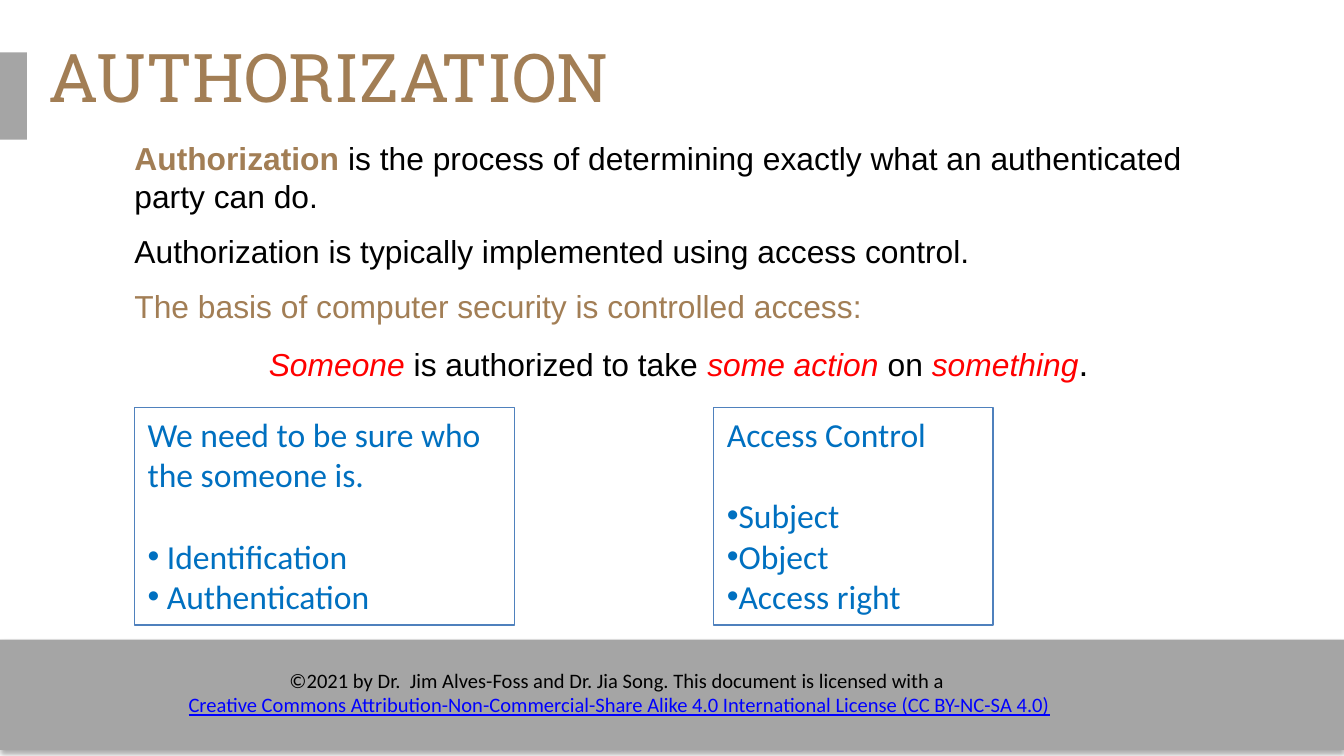
from lxml.etree import SubElement
from pptx import Presentation
from pptx.dml.color import RGBColor
from pptx.enum.shapes import MSO_SHAPE as Shape
from pptx.enum.text import MSO_ANCHOR as Anchor, MSO_AUTO_SIZE as AutoSize, PP_ALIGN as Align
from pptx.oxml.ns import qn
from pptx.util import Inches, Pt

COLORS = {
    "gray": "A5A5A5", "tan": "A27E55", "black": "000000", "red": "FF0000",
    "link": "0000FF", "blue": "0070C0", "border": "4F81BD",
}

TITLE = "AUTHORIZATION"
PLAIN = {}
TAN = {"color": "tan"}
TERM = {"color": "red", "italic": True}
BODY = [
    ([("Authorization", {"color": "tan", "bold": True}),
      (" is the process of determining exactly what an authenticated party can do.", PLAIN)],
     {"before": 0}),
    ([("Authorization is typically implemented using access control.", PLAIN)], {}),
    ([("The basis of computer security is controlled access:", TAN)], {}),
    ([("Someone", TERM), (" is authorized to take ", PLAIN), ("some action ", TERM),
      ("on ", PLAIN), ("something", TERM), (".", {"size": 19})], {"margin": 1}),
]
BOXES = [
    (1, 2.83, "We need to be sure who the someone is.",
     [" Identification", " Authentication"]),
    (5.31, 2.08, "Access Control", ["Subject", "Object", "Access right"]),
]
FOOTER = [
    ("©2021 by Dr.  Jim Alves-Foss and Dr. Jia Song. This document is licensed with a ", {}),
    ("Creative Commons Attribution-Non-Commercial-Share Alike 4.0 International License (CC BY-NC-SA 4.0)",
     {"color": "link", "underline": True}),
]


def rgb(name):
    return RGBColor.from_string(COLORS[name])


def add_text(paragraph, text, font="Calibri", size=18, color="black",
             bold=False, italic=False, underline=False):
    run = paragraph.add_run()
    run.text = text
    run.font.name = font
    run.font.size = Pt(size)
    run.font.color.rgb = rgb(color)
    run.font.bold = bold
    run.font.italic = italic
    run.font.underline = underline


def format_paragraph(paragraph, align=Align.LEFT, before=0, margin=0, bullet=None):
    paragraph.alignment = align
    paragraph.line_spacing = 1.0
    paragraph.space_before = Pt(before)
    paragraph.space_after = Pt(0)
    properties = paragraph._p.get_or_add_pPr()
    properties.set("marL", str(Inches(margin)))
    properties.set("indent", "0")
    if bullet:
        SubElement(properties, qn("a:buFont"), typeface="Arial")
        SubElement(properties, qn("a:buChar"), char=bullet)
    else:
        SubElement(properties, qn("a:buNone"))


def next_paragraph(frame, index):
    return frame.add_paragraph() if index else frame.paragraphs[0]


def place(shape, left, top, width, height):
    shape.left, shape.top = Inches(left), Inches(top)
    shape.width, shape.height = Inches(width), Inches(height)


def prepare_frame(shape, horizontal=0.0, vertical=0.0, anchor=Anchor.TOP):
    frame = shape.text_frame
    frame.word_wrap = True
    frame.auto_size = AutoSize.NONE
    frame.vertical_anchor = anchor
    frame.margin_left = frame.margin_right = Inches(horizontal)
    frame.margin_top = frame.margin_bottom = Inches(vertical)
    return frame


def add_rectangle(slide, left, top, width, height, fill=None, line=None):
    shape = slide.shapes.add_shape(
        Shape.RECTANGLE, Inches(left), Inches(top), Inches(width), Inches(height))
    shape.shadow.inherit = False
    if fill:
        shape.fill.solid()
        shape.fill.fore_color.rgb = rgb(fill)
    else:
        shape.fill.background()
    if line:
        shape.line.color.rgb = rgb(line)
        shape.line.width = Pt(0.75)
    else:
        shape.line.fill.background()
    return shape


def add_shadow(shape):
    effects = shape._element.spPr.find(qn("a:effectLst"))
    shadow = SubElement(effects, qn("a:outerShdw"), blurRad=str(Pt(3.1)),
                        dist=str(Pt(1.8)), dir="5400000", rotWithShape="0")
    color = SubElement(shadow, qn("a:srgbClr"), val=COLORS["black"])
    SubElement(color, qn("a:alpha"), val="35000")


def add_footer(slide):
    add_shadow(add_rectangle(slide, 0, 4.76, 10, 0.82, fill="gray"))
    box = slide.shapes.add_textbox(Inches(1.01), Inches(4.92), Inches(7.2), Inches(0.47))
    frame = prepare_frame(box, 0.1, 0.05)
    for index, (text, style) in enumerate(FOOTER):
        paragraph = next_paragraph(frame, index)
        format_paragraph(paragraph, align=Align.CENTER)
        add_text(paragraph, text, size=11, **style)


def add_title(slide):
    add_rectangle(slide, -0.03, 0.39, 0.23, 0.65, fill="gray")
    title = slide.shapes.title
    place(title, 0.36, 0.23, 9, 0.63)
    paragraph = prepare_frame(title, anchor=Anchor.BOTTOM).paragraphs[0]
    format_paragraph(paragraph)
    add_text(paragraph, TITLE, font="Roboto Slab", size=36, color="tan")


def add_body(slide):
    body = slide.placeholders[1]
    place(body, 1, 1.03, 8.36, 3.61)
    frame = prepare_frame(body)
    for index, (runs, layout) in enumerate(BODY):
        paragraph = next_paragraph(frame, index)
        format_paragraph(paragraph, **{"before": 9, **layout})
        for text, style in runs:
            add_text(paragraph, text, **{"font": "Arial", "size": 17, **style})


def add_box(slide, left, width, heading, items):
    box = add_rectangle(slide, left, 3.03, width, 1.62, line="border")
    frame = prepare_frame(box, 0.1, 0.05)
    for index, text in enumerate([heading, *items]):
        paragraph = next_paragraph(frame, index)
        format_paragraph(paragraph, before=22 if index == 1 else 0,
                         bullet="•" if index else None)
        add_text(paragraph, text, color="blue")


def main():
    presentation = Presentation()
    presentation.slide_width = Inches(10)
    presentation.slide_height = presentation.slide_width * 9 // 16
    slide = presentation.slides.add_slide(presentation.slide_layouts[1])
    add_footer(slide)
    add_title(slide)
    add_body(slide)
    for box in BOXES:
        add_box(slide, *box)
    presentation.save("out.pptx")


if __name__ == "__main__":
    main()
